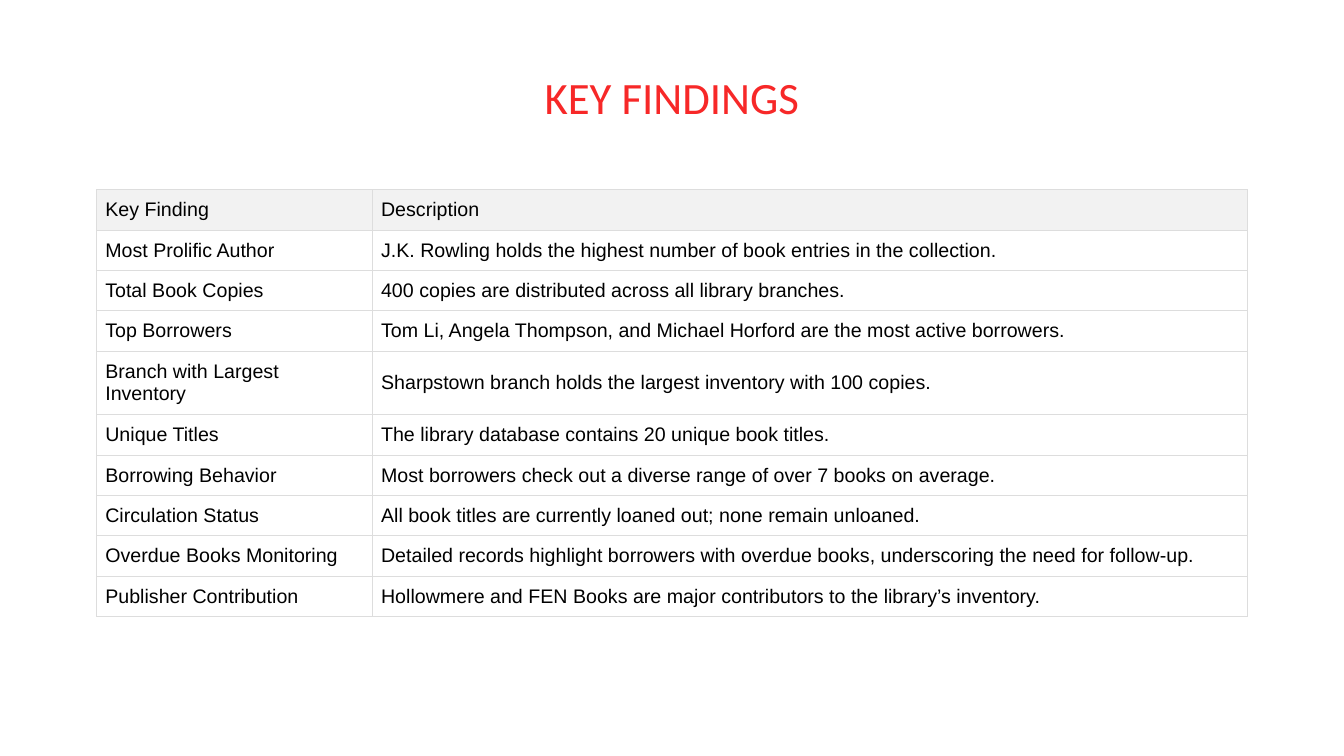
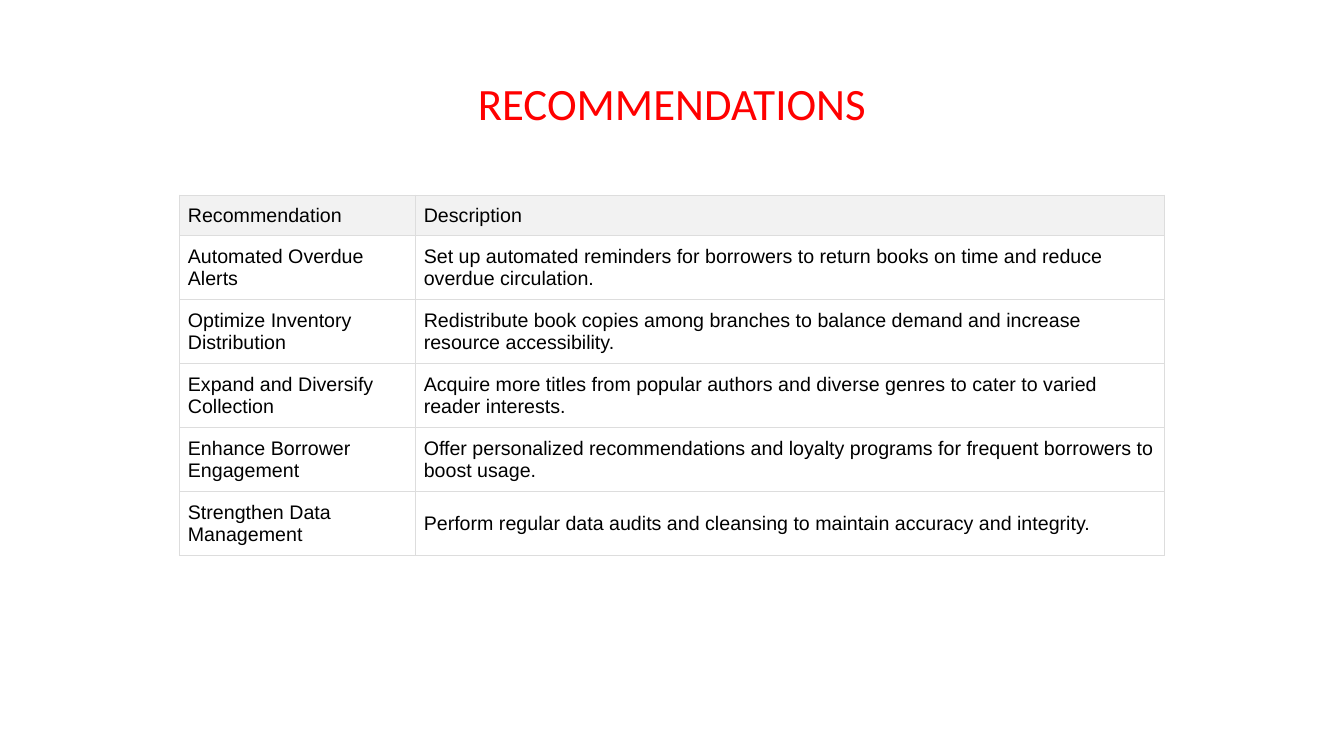
"""Build two slides of library findings and recommendations, each a title over a table."""
from lxml import etree
from pptx import Presentation
from pptx.dml.color import RGBColor
from pptx.enum import text as te
from pptx.oxml import ns
from pptx.util import Pt

BLACK = RGBColor(0x00, 0x00, 0x00)
HEADER_GRAY = RGBColor(0xF2, 0xF2, 0xF2)
BORDER_GRAY = RGBColor(0xDD, 0xDD, 0xDD)
FINDINGS_RED = RGBColor(0xF7, 0x28, 0x28)
RECOMMENDATIONS_RED = RGBColor(0xFF, 0x00, 0x00)

PAGE_WIDTH, PAGE_HEIGHT = 960, 540
TITLE_WIDTH, TITLE_HEIGHT = 488, 46
TITLE_TO_TABLE = 89
ROW_HEIGHT, WRAPPED_ROW_HEIGHT = 28.7, 45.7
CELL_MARGIN = 6
BORDER_WIDTH = 0.75

FINDINGS = [
    ("Key Finding", "Description"),
    ("Most Prolific Author",
     "J.K. Rowling holds the highest number of book entries in the collection."),
    ("Total Book Copies", "400 copies are distributed across all library branches."),
    ("Top Borrowers",
     "Tom Li, Angela Thompson, and Michael Horford are the most active borrowers."),
    ("Branch with Largest Inventory",
     "Sharpstown branch holds the largest inventory with 100 copies."),
    ("Unique Titles", "The library database contains 20 unique book titles."),
    ("Borrowing Behavior",
     "Most borrowers check out a diverse range of over 7 books on average."),
    ("Circulation Status",
     "All book titles are currently loaned out; none remain unloaned."),
    ("Overdue Books Monitoring",
     "Detailed records highlight borrowers with overdue books, "
     "underscoring the need for follow-up."),
    ("Publisher Contribution",
     "Hollowmere and FEN Books are major contributors to the library’s inventory."),
]

RECOMMENDATIONS = [
    ("Recommendation", "Description"),
    ("Automated Overdue Alerts",
     "Set up automated reminders for borrowers to return books on time "
     "and reduce overdue circulation."),
    ("Optimize Inventory Distribution",
     "Redistribute book copies among branches to balance demand "
     "and increase resource accessibility."),
    ("Expand and Diversify Collection",
     "Acquire more titles from popular authors and diverse genres "
     "to cater to varied reader interests."),
    ("Enhance Borrower Engagement",
     "Offer personalized recommendations and loyalty programs "
     "for frequent borrowers to boost usage."),
    ("Strengthen Data Management",
     "Perform regular data audits and cleansing to maintain accuracy and integrity."),
]


def write_text(frame, words, *, font, size, color, align=te.PP_ALIGN.LEFT):
    para = frame.paragraphs[0]
    para.alignment = align
    span = para.add_run()
    span.text = words
    span.font.name = font
    span.font.size = Pt(size)
    span.font.color.rgb = color


def add_title(page, words, top, color):
    left = (PAGE_WIDTH - TITLE_WIDTH) / 2
    box = page.shapes.add_textbox(Pt(left), Pt(top), Pt(TITLE_WIDTH), Pt(TITLE_HEIGHT))
    box.text_frame.word_wrap = True
    box.text_frame.auto_size = te.MSO_AUTO_SIZE.SHAPE_TO_FIT_TEXT
    write_text(box.text_frame, words, font="Calibri", size=32, color=color,
               align=te.PP_ALIGN.CENTER)


def set_borders(cell):
    properties = cell._tc.get_or_add_tcPr()
    for index, side in enumerate(("lnL", "lnR", "lnT", "lnB")):
        line = etree.Element(ns.qn(f"a:{side}"), w=str(Pt(BORDER_WIDTH)))
        fill = etree.SubElement(line, ns.qn("a:solidFill"))
        etree.SubElement(fill, ns.qn("a:srgbClr"), val=str(BORDER_GRAY))
        properties.insert(index, line)


def fill_cell(cell, words, is_header):
    cell.margin_left = cell.margin_right = Pt(CELL_MARGIN)
    cell.margin_top = cell.margin_bottom = Pt(CELL_MARGIN)
    cell.vertical_anchor = te.MSO_ANCHOR.MIDDLE
    if is_header:
        cell.fill.solid()
        cell.fill.fore_color.rgb = HEADER_GRAY
    else:
        cell.fill.background()
    set_borders(cell)
    write_text(cell.text_frame, words, font="Arial", size=14, color=BLACK)


def add_grid(page, rows, top, widths, wrapped_rows):
    total = sum(widths)
    heights = [WRAPPED_ROW_HEIGHT if index in wrapped_rows else ROW_HEIGHT
               for index in range(len(rows))]
    table = page.shapes.add_table(len(rows), len(widths), Pt((PAGE_WIDTH - total) / 2),
                                  Pt(top), Pt(total), Pt(sum(heights))).table
    table.first_row = table.horz_banding = False
    for column, width in zip(table.columns, widths):
        column.width = Pt(width)
    for index, (row, height) in enumerate(zip(table.rows, heights)):
        row.height = Pt(height)
        for cell, words in zip(row.cells, rows[index]):
            fill_cell(cell, words, is_header=index == 0)


def add_page(deck, title, rows, *, top, color, widths, wrapped_rows):
    page = deck.slides.add_slide(deck.slide_layouts[6])
    add_title(page, title, top, color)
    add_grid(page, rows, top + TITLE_TO_TABLE, widths, wrapped_rows)


def main():
    deck = Presentation()
    deck.slide_width, deck.slide_height = Pt(PAGE_WIDTH), Pt(PAGE_HEIGHT)
    add_page(deck, "KEY FINDINGS", FINDINGS, top=46.5, color=FINDINGS_RED,
             widths=(197, 624.5), wrapped_rows={4})
    add_page(deck, "RECOMMENDATIONS", RECOMMENDATIONS, top=50.4,
             color=RECOMMENDATIONS_RED, widths=(168.5, 535), wrapped_rows=range(1, 6))
    deck.save("out.pptx")


if __name__ == "__main__":
    main()
